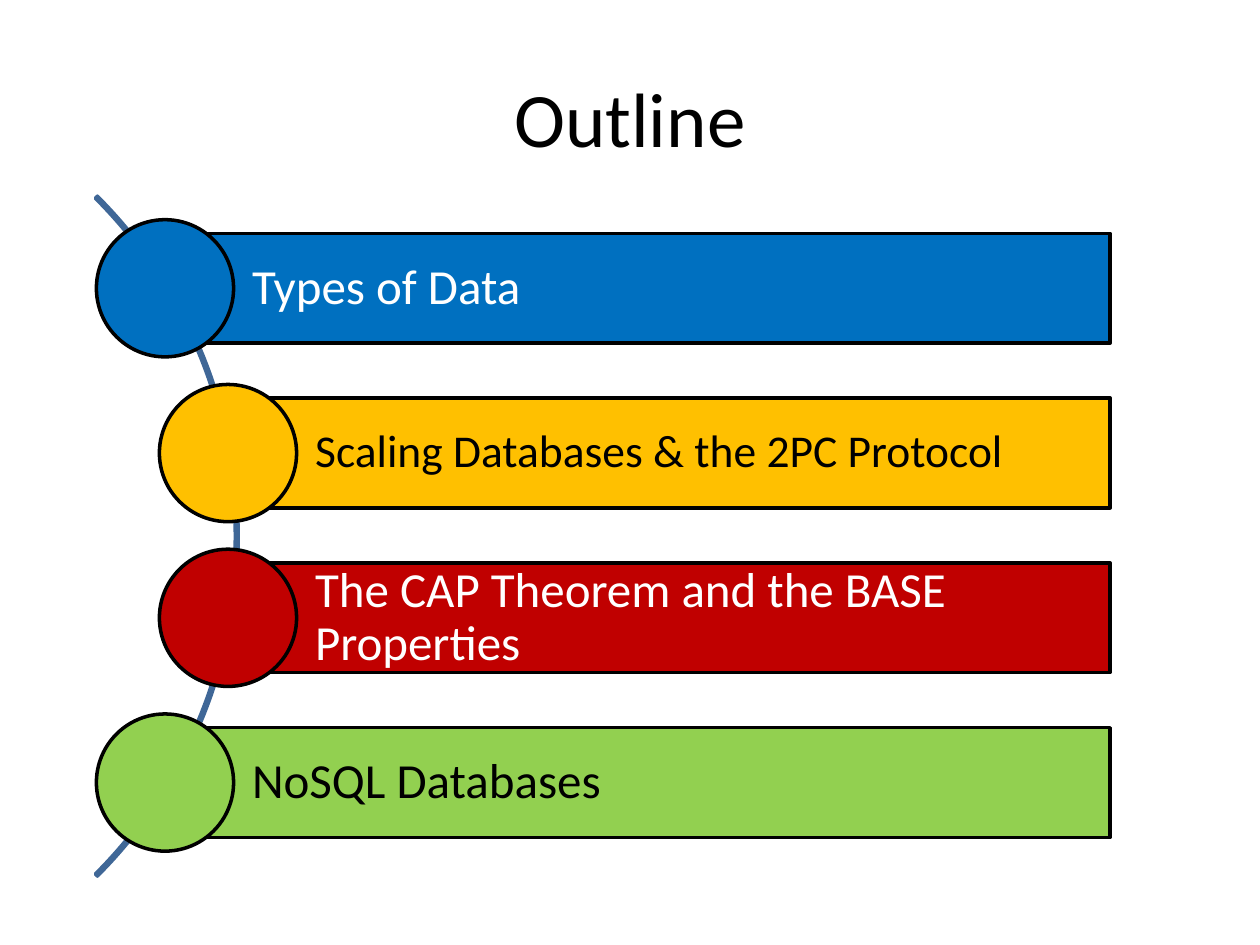
import dataclasses

import pptx
import pptx.dml.color
import pptx.enum.shapes
import pptx.enum.text
import pptx.util

Pt = pptx.util.Pt
Shape = pptx.enum.shapes.MSO_SHAPE
Align = pptx.enum.text.PP_ALIGN
Anchor = pptx.enum.text.MSO_ANCHOR


@dataclasses.dataclass
class Topic:
    text: str
    fill: str
    ink: str
    left: float
    size: float = 28
    pad: float = 5.6


TOPICS = [
    Topic("Types of Data", "0070C0", "FFFFFF", 94.3),
    Topic("Scaling Databases & the 2PC Protocol", "FFC000", "000000", 130.3, 26, 5.2),
    Topic("The CAP Theorem and the BASE Properties", "C00000", "FFFFFF", 130.3),
    Topic("NoSQL Databases", "92D050", "000000", 94.3),
]
RIGHT = 634.4
TOP = 133.4
PITCH = 94.15
HIGH = 62.7
DISC = 78.4
INSET = 49.8


def color(code: str) -> pptx.dml.color.RGBColor:
    return pptx.dml.color.RGBColor.from_string(code)


def write(frame, text: str, size: float, ink: str, align) -> None:
    frame.word_wrap = True
    frame.vertical_anchor = Anchor.MIDDLE
    para = frame.paragraphs[0]
    para.alignment = align
    run = para.add_run()
    run.text = text
    run.font.name = "Calibri"
    run.font.size = Pt(size)
    run.font.color.rgb = color(ink)


def draw(slide, kind, left: float, top: float, width: float, height: float,
         fill: str, line: str):
    shape = slide.shapes.add_shape(kind, Pt(left), Pt(top), Pt(width), Pt(height))
    shape.shadow.inherit = False
    if fill:
        shape.fill.solid()
        shape.fill.fore_color.rgb = color(fill)
    else:
        shape.fill.background()
    shape.line.color.rgb = color(line)
    shape.line.width = Pt(2)
    return shape


def add_title(slide, text: str) -> None:
    box = slide.shapes.add_textbox(Pt(36), Pt(21.6), Pt(648), Pt(90))
    write(box.text_frame, text, 44, "000000", Align.CENTER)


def add_arc(slide) -> None:
    arc = draw(slide, Shape.BLOCK_ARC, -413.3, 31.7, 549.4, 549.4, "", "3F6797")
    for index, value in enumerate((189, 27, 0.003)):
        arc.adjustments[index] = value


def add_topic(slide, topic: Topic, top: float) -> None:
    bar = draw(slide, Shape.RECTANGLE, topic.left, top, RIGHT - topic.left, HIGH,
               topic.fill, "000000")
    frame = bar.text_frame
    frame.margin_left = Pt(INSET)
    frame.margin_top = frame.margin_right = frame.margin_bottom = Pt(topic.pad)
    write(frame, topic.text, topic.size, topic.ink, Align.LEFT)
    frame.paragraphs[0].line_spacing = 0.9
    draw(slide, Shape.OVAL, topic.left - DISC / 2, top + (HIGH - DISC) / 2,
         DISC, DISC, topic.fill, "000000")


def main() -> None:
    deck = pptx.Presentation()
    deck.slide_width = Pt(720)
    deck.slide_height = Pt(540)
    slide = deck.slides.add_slide(deck.slide_layouts[6])
    add_title(slide, "Outline")
    add_arc(slide)
    for row, topic in enumerate(TOPICS):
        add_topic(slide, topic, TOP + row * PITCH)
    deck.save("out.pptx")


if __name__ == "__main__":
    main()
